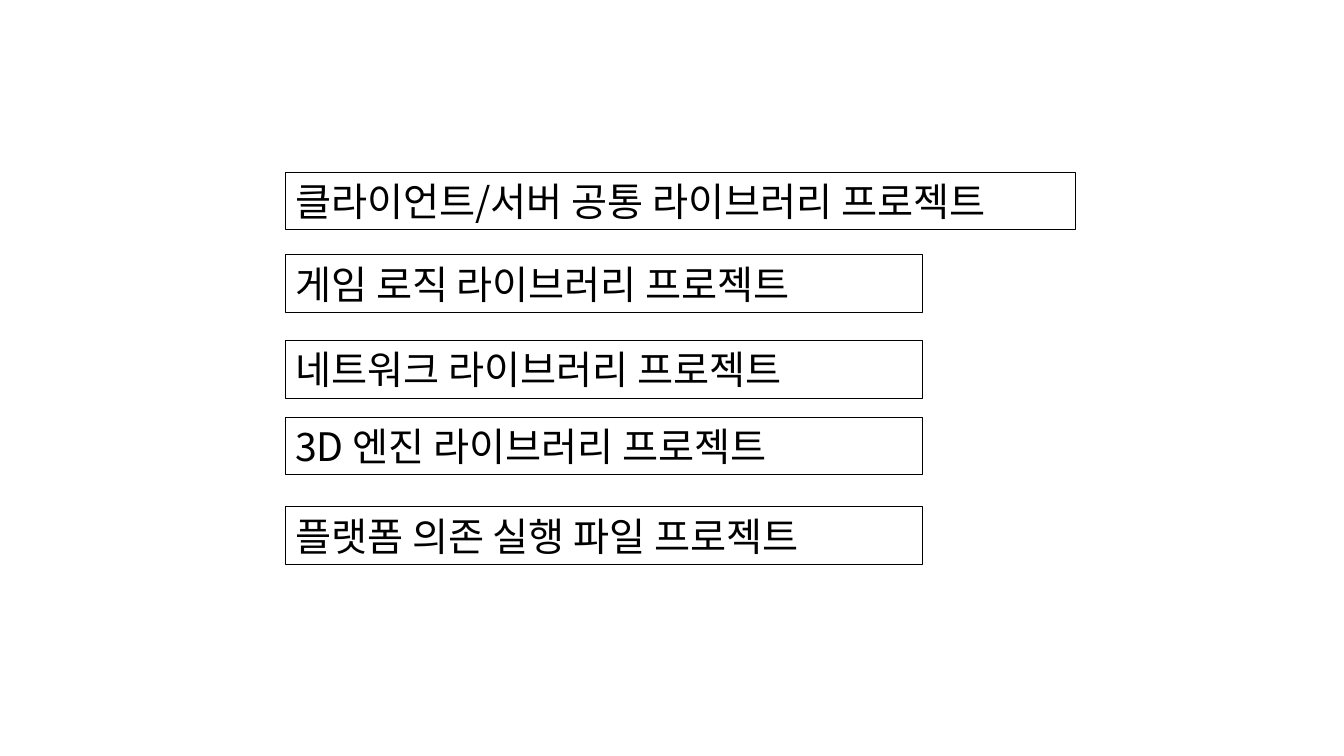
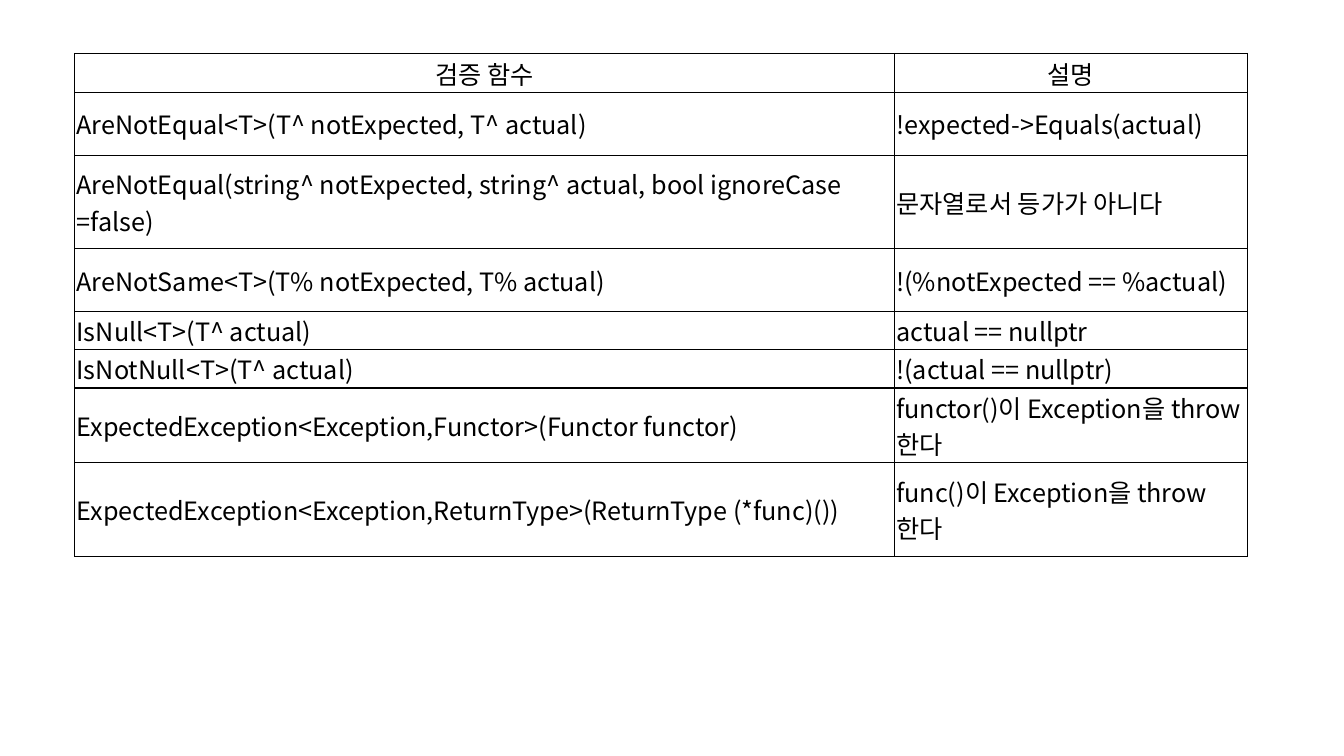
from typing import NamedTuple

from lxml.etree import SubElement
from pptx import Presentation
from pptx.dml.color import RGBColor
from pptx.enum.text import MSO_ANCHOR as Anchor, MSO_AUTO_SIZE as Fit, PP_ALIGN as Align
from pptx.oxml.ns import qn
from pptx.slide import Slide
from pptx.table import _Cell as Cell
from pptx.text.text import _Paragraph as Para
from pptx.util import Inches, Pt

BLACK = RGBColor(0, 0, 0)
FACE = "Noto Sans CJK KR"
LEFT = 2.83
HIGH = 0.57
WIDE = 6.32


class Box(NamedTuple):
    text: str
    top: float
    width: float = WIDE


class Row(NamedTuple):
    call: str
    note: str
    height: float


BOXES = [
    Box("클라이언트/서버 공통 라이브러리 프로젝트", 1.71, 7.84),
    Box("게임 로직 라이브러리 프로젝트", 2.53),
    Box("네트워크 라이브러리 프로젝트", 3.38),
    Box("3D 엔진 라이브러리 프로젝트", 4.14),
    Box("플랫폼 의존 실행 파일 프로젝트", 5.03),
]

COLS = [8.13, 3.5]
ROWS = [
    Row("검증 함수", "설명", 0.39),
    Row("AreNotEqual<T>(T^ notExpected, T^ actual)", "!expected->Equals(actual)", 0.62),
    Row("AreNotEqual(string^ notExpected, string^ actual, bool ignoreCase =false)",
        "문자열로서 등가가 아니다", 0.93),
    Row("AreNotSame<T>(T% notExpected, T% actual)", "!(%notExpected == %actual)", 0.62),
    Row("IsNull<T>(T^ actual)", "actual == nullptr", 0.38),
    Row("IsNotNull<T>(T^ actual)", "!(actual == nullptr)", 0.38),
    Row("ExpectedException<Exception,Functor>(Functor functor)",
        "functor()이 Exception을 throw 한다", 0.74),
    Row("ExpectedException<Exception,ReturnType>(ReturnType (*func)())",
        "func()이 Exception을 throw 한다", 0.93),
]


def style(para: Para, size: int, align: Align = Align.LEFT) -> None:
    para.alignment = align
    font = para.font
    font.size = Pt(size)
    font.color.rgb = BLACK
    font.name = FACE


def draw_box(slide: Slide, box: Box) -> None:
    shape = slide.shapes.add_textbox(
        Inches(LEFT), Inches(box.top), Inches(box.width), Inches(HIGH))
    shape.line.color.rgb = BLACK
    shape.line.width = Pt(0.75)
    frame = shape.text_frame
    frame.word_wrap = True
    frame.auto_size = Fit.SHAPE_TO_FIT_TEXT
    frame.text = box.text
    style(frame.paragraphs[0], 28)


def rule(cell: Cell) -> None:
    props = cell._tc.get_or_add_tcPr()
    for side in ("lnL", "lnR", "lnT", "lnB"):
        line = SubElement(props, qn(f"a:{side}"), w=str(Pt(1)))
        fill = SubElement(line, qn("a:solidFill"))
        SubElement(fill, qn("a:srgbClr"), val=str(BLACK))


def fill_cell(cell: Cell, text: str, align: Align) -> None:
    cell.text = text
    cell.vertical_anchor = Anchor.MIDDLE
    cell.margin_left = cell.margin_right = Inches(0.02)
    cell.margin_top = cell.margin_bottom = Inches(0.01)
    style(cell.text_frame.paragraphs[0], 18, align)
    rule(cell)
    cell.fill.background()


def draw_table(slide: Slide, rows: list[Row]) -> None:
    high = sum(row.height for row in rows)
    table = slide.shapes.add_table(
        len(rows), len(COLS), Inches(0.74), Inches(0.53),
        Inches(sum(COLS)), Inches(high)).table
    table.first_row = table.horz_banding = False
    for col, width in zip(table.columns, COLS):
        col.width = Inches(width)
    for num, row in enumerate(rows):
        table.rows[num].height = Inches(row.height)
        align = Align.LEFT if num else Align.CENTER
        for col, text in enumerate((row.call, row.note)):
            fill_cell(table.cell(num, col), text, align)


def main() -> None:
    deck = Presentation()
    deck.slide_width = Inches(13.33)
    deck.slide_height = Inches(7.5)
    blank = deck.slide_layouts[6]
    slide = deck.slides.add_slide(blank)
    for box in BOXES:
        draw_box(slide, box)
    draw_table(deck.slides.add_slide(blank), ROWS)
    deck.save("out.pptx")


main()
